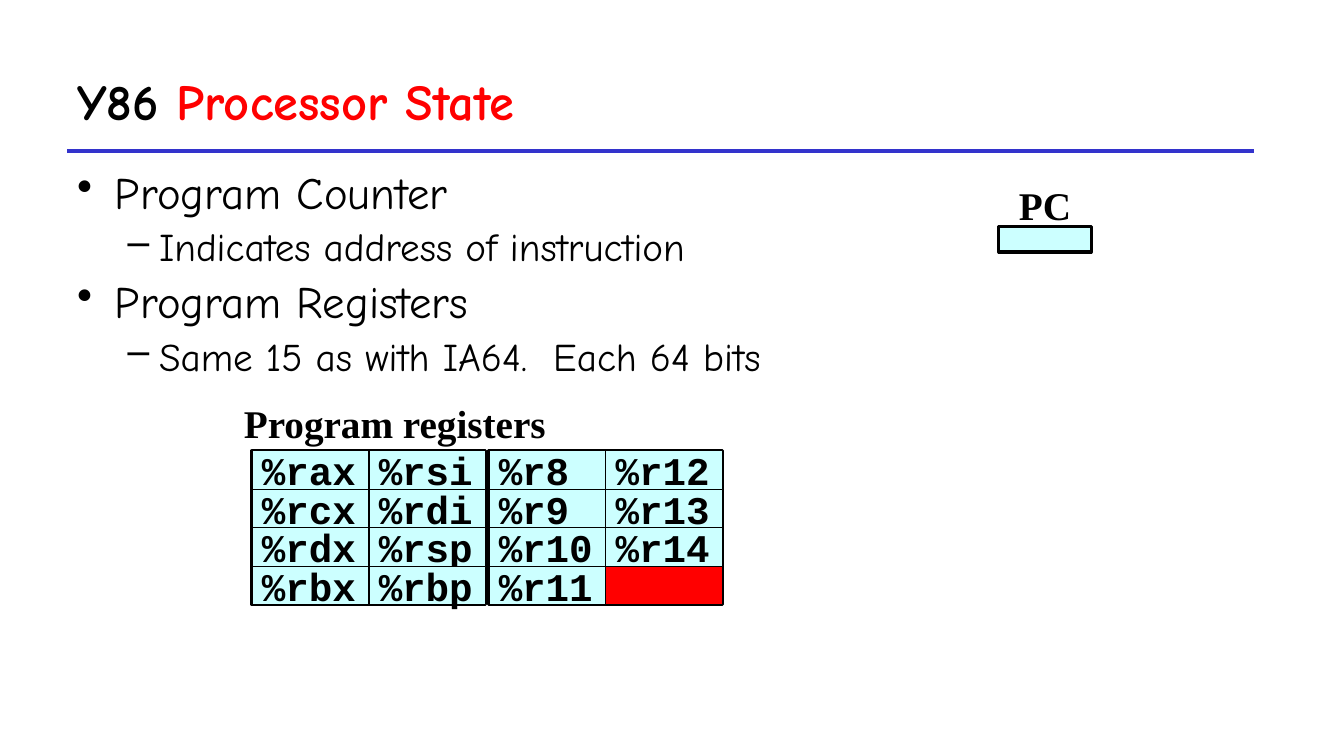
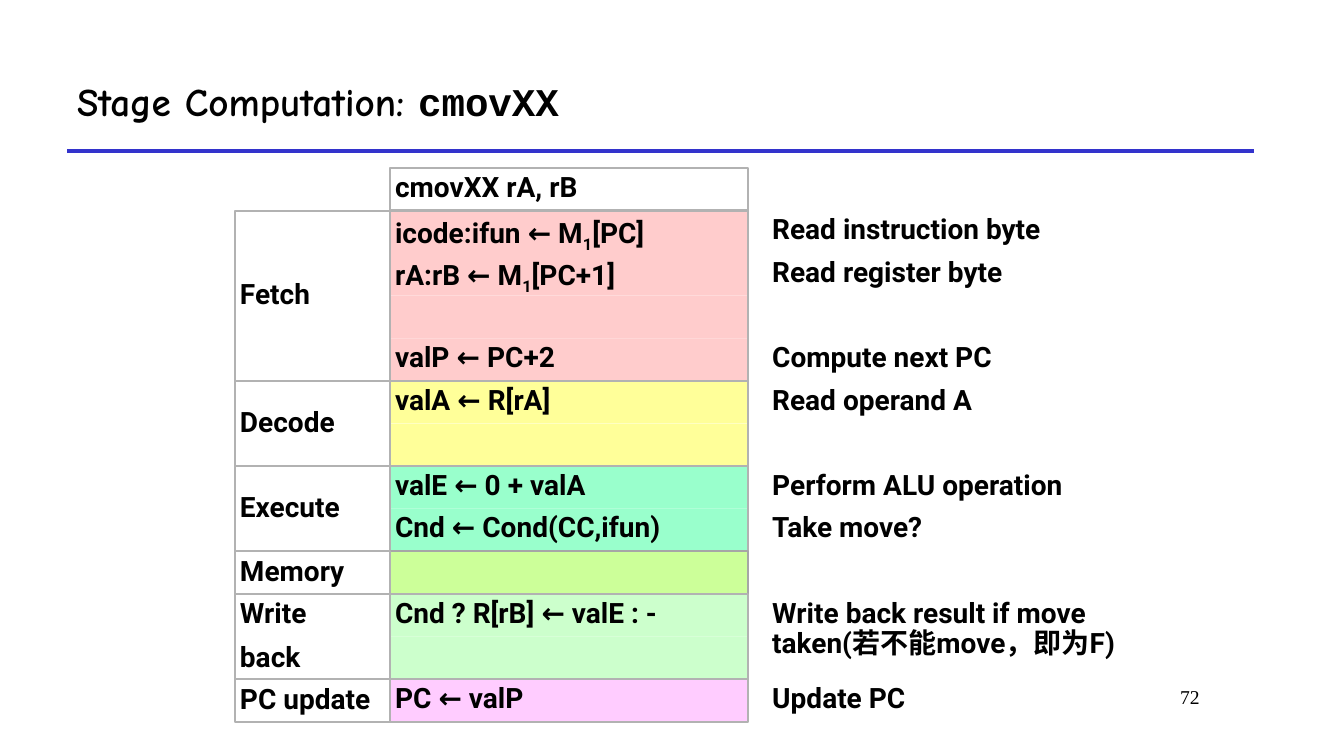
from dataclasses import dataclass
from typing import Any, Optional

from lxml.etree import SubElement
from pptx import Presentation
from pptx.dml.color import RGBColor
from pptx.enum.shapes import MSO_CONNECTOR, MSO_SHAPE
from pptx.enum.text import MSO_ANCHOR, PP_ALIGN
from pptx.oxml.ns import qn
from pptx.slide import Slide
from pptx.util import Pt

COLORS = {
    "text": "000000", "accent": "FF0000", "rule": "3333CC", "register": "CCFFFF",
    "grid": "B2B2B2", "memory_grid": "A6A6A6", "fetch": "FFCCCC", "decode": "FFFF99",
    "execute": "99FFCC", "memory": "CCFF99", "write": "CCFFCC", "update": "FFCCFF",
}

FONTS: dict[str, dict[str, Any]] = {
    "title": {"name": "Comic Neue", "size": Pt(36), "bold": True},
    "small_title": {"name": "Comic Neue", "size": Pt(28), "bold": True},
    "code": {"name": "Courier New", "size": Pt(28), "bold": True},
    "topic": {"name": "Comic Neue", "size": Pt(32), "bold": False},
    "detail": {"name": "Comic Neue", "size": Pt(28), "bold": False},
    "caption": {"name": "Times New Roman", "size": Pt(28), "bold": True},
    "page": {"name": "Times New Roman", "size": Pt(14), "bold": False},
    "stage": {"name": "Roboto", "size": Pt(20), "bold": True},
}

TIGHT = {f"margin_{side}": Pt(3.6) for side in ("left", "top", "right", "bottom")}
MIDDLE = {"vertical_anchor": MSO_ANCHOR.MIDDLE}
STAGE_LINES = {"alignment": PP_ALIGN.LEFT, "line_spacing": 0.9, "space_before": Pt(10)}


@dataclass(frozen=True)
class Run:
    text: str
    font: str
    color: str = "text"
    baseline: int = 0


@dataclass(frozen=True)
class Box:
    left: float
    top: float
    width: float
    height: float


@dataclass(frozen=True)
class Bullet:
    mark: str
    level: int
    indent: float
    hanging: float
    font: str


@dataclass(frozen=True)
class Step:
    formula: tuple[str, ...] = ()
    note: str = ""
    note_width: float = 255.6


@dataclass(frozen=True)
class Stage:
    label: tuple[str, ...]
    fill: str
    steps: tuple[Step, ...]
    outline: str = "grid"


Lines = list[list[Run]]

TOPIC = Bullet("•", 0, 27, 27, "topic")
DETAIL = Bullet("–", 1, 58.5, 22.5, "detail")

STATE_POINTS = (
    (TOPIC, "Program Counter"),
    (DETAIL, "Indicates address of instruction"),
    (TOPIC, "Program Registers"),
    (DETAIL, "Same 15 as with IA64.  Each 64 bits"),
)

REGISTER_BANKS = (
    (180, (("%rax", "%rcx", "%rdx", "%rbx"), ("%rsi", "%rdi", "%rsp", "%rbp"))),
    (349.2, (("%r8", "%r9", "%r10", "%r11"), ("%r12", "%r13", "%r14", ""))),
)
REGISTER_TOP, REGISTER_WIDTH, REGISTER_HEIGHT = 322, 83.5, 27.5

STAGES = (
    Stage(("Fetch",), "fetch", (
        Step(("icode:ifun ← M", "1", "[PC]"), "Read instruction byte"),
        Step(("rA:rB ← M", "1", "[PC+1]"), "Read register byte"),
        Step(),
        Step(("valP ← PC+2",), "Compute next PC"),
    )),
    Stage(("Decode",), "decode", (Step(("valA ← R[rA]",), "Read operand A"), Step())),
    Stage(("Execute",), "execute", (
        Step(("valE ← 0 + valA",), "Perform ALU operation"),
        Step(("Cnd ← Cond(CC,ifun)",), "Take move?"),
    )),
    Stage(("Memory",), "memory", (Step(),), "memory_grid"),
    Stage(("Write", "back"), "write", (
        Step(("Cnd ? R[rB] ← valE : -",),
             "Write back result if move taken(若不能move，即为F)", 276),
        Step(),
    )),
    Stage(("PC update",), "update", (Step(("PC ← valP",), "Update PC"),)),
)
TABLE_TOP, ROW_HEIGHT = 120, 30.42
LABEL_LEFT, LABEL_WIDTH = 167.8, 110.8
FORMULA_LEFT, FORMULA_WIDTH = 278.6, 255.6
NOTE_LEFT = 548


def rgb(key: str) -> RGBColor:
    return RGBColor.from_string(COLORS[key])


def apply(target: Any, formats: dict[str, Any]) -> None:
    for attribute, value in formats.items():
        setattr(target, attribute, value)


def add_runs(paragraph: Any, runs: list[Run]) -> None:
    for run in runs:
        piece = paragraph.add_run()
        piece.text = run.text
        apply(piece.font, FONTS[run.font])
        piece.font.color.rgb = rgb(run.color)
        if run.baseline:
            piece._r.get_or_add_rPr().set("baseline", str(run.baseline))


def write(frame: Any, lines: Lines, frame_format: dict[str, Any],
          line_format: dict[str, Any]) -> None:
    apply(frame, {"word_wrap": True, "vertical_anchor": MSO_ANCHOR.TOP, **frame_format})
    for index, runs in enumerate(lines):
        paragraph = frame.add_paragraph() if index else frame.paragraphs[0]
        apply(paragraph, {"alignment": PP_ALIGN.LEFT, **line_format})
        if not index:
            paragraph.space_before = Pt(0)
        add_runs(paragraph, runs)


def add_text(slide: Slide, box: Box, lines: Lines,
             frame_format: Optional[dict[str, Any]] = None,
             line_format: Optional[dict[str, Any]] = None) -> Any:
    area = slide.shapes.add_textbox(Pt(box.left), Pt(box.top), Pt(box.width), Pt(box.height))
    write(area.text_frame, lines, frame_format or {}, line_format or {})
    return area


def add_box(slide: Slide, box: Box, fill: str = "", outline: str = "",
            weight: float = 1.5) -> Any:
    cell = slide.shapes.add_shape(
        MSO_SHAPE.RECTANGLE, Pt(box.left), Pt(box.top), Pt(box.width), Pt(box.height))
    cell.shadow.inherit = False
    if fill:
        cell.fill.solid()
        cell.fill.fore_color.rgb = rgb(fill)
    else:
        cell.fill.background()
    if outline:
        cell.line.color.rgb = rgb(outline)
        cell.line.width = Pt(weight)
    else:
        cell.line.fill.background()
    return cell


def add_titled_slide(deck: Any, title: list[Run]) -> Slide:
    slide = deck.slides.add_slide(deck.slide_layouts[6])
    rule = slide.shapes.add_connector(
        MSO_CONNECTOR.STRAIGHT, Pt(48), Pt(108), Pt(896), Pt(108))
    rule.line.color.rgb = rgb("rule")
    rule.line.width = Pt(3)
    SubElement(rule._element.spPr, qn("a:effectLst"))
    add_text(slide, Box(48, 36, 848, 72), [title], MIDDLE)
    return slide


def add_points(slide: Slide) -> None:
    lines = [[Run(text, bullet.font)] for bullet, text in STATE_POINTS]
    area = add_text(slide, Box(48, 114, 588, 394), lines, None, {"space_before": Pt(3)})
    for paragraph, (bullet, _) in zip(area.text_frame.paragraphs, STATE_POINTS):
        paragraph.level = bullet.level
        properties = paragraph._p.get_or_add_pPr()
        properties.set("marL", str(Pt(bullet.indent)))
        properties.set("indent", str(-Pt(bullet.hanging)))
        SubElement(properties, qn("a:buChar")).set("char", bullet.mark)


def add_register_bank(slide: Slide, left: float, columns: tuple[tuple[str, ...], ...]) -> None:
    add_box(slide, Box(left, REGISTER_TOP, len(columns) * REGISTER_WIDTH,
                       len(columns[0]) * REGISTER_HEIGHT), "register", "text", 2.25)
    for column, names in enumerate(columns):
        for row, name in enumerate(names):
            place = Box(left + column * REGISTER_WIDTH, REGISTER_TOP + row * REGISTER_HEIGHT,
                        REGISTER_WIDTH, REGISTER_HEIGHT)
            register = add_box(slide, place, "register" if name else "accent", "text", 1)
            if name:
                write(register.text_frame, [[Run(name, "code")]],
                      {**MIDDLE, "word_wrap": False}, {})


def build_processor_state(deck: Any) -> None:
    slide = add_titled_slide(
        deck, [Run("Y86 ", "title"), Run("Processor State", "title", "accent")])
    add_points(slide)
    add_box(slide, Box(713.5, 162, 66, 18), "register", "text", 2.25)
    for caption, place in (("PC", Box(713.5, 126, 66, 42)),
                           ("Program registers", Box(144, 282, 276, 42))):
        add_text(slide, place, [[Run(caption, "caption")]], None,
                 {"alignment": PP_ALIGN.CENTER})
    for left, columns in REGISTER_BANKS:
        add_register_bank(slide, left, columns)


def formula_runs(parts: tuple[str, ...]) -> list[Run]:
    return [Run(part, "stage", baseline=-25000 if index % 2 else 0)
            for index, part in enumerate(parts)]


def add_stage(slide: Slide, stage: Stage, top: float) -> float:
    height = len(stage.steps) * ROW_HEIGHT
    single = len(stage.steps) == 1
    for index, step in enumerate(stage.steps):
        row_top = top + index * ROW_HEIGHT
        row = add_box(slide, Box(FORMULA_LEFT, row_top, FORMULA_WIDTH, ROW_HEIGHT),
                      stage.fill, stage.outline if single else "")
        if step.formula:
            write(row.text_frame, [formula_runs(step.formula)], TIGHT, STAGE_LINES)
        if step.note:
            add_text(slide, Box(NOTE_LEFT, row_top, step.note_width, ROW_HEIGHT),
                     [[Run(step.note, "stage")]], TIGHT, STAGE_LINES)
    if not single:
        add_box(slide, Box(FORMULA_LEFT, top, FORMULA_WIDTH, height), "", stage.outline)
    label = add_box(slide, Box(LABEL_LEFT, top, LABEL_WIDTH, height), "", "grid")
    write(label.text_frame, [[Run(line, "stage")] for line in stage.label],
          {**TIGHT, **MIDDLE}, STAGE_LINES)
    return top + height


def build_stage_computation(deck: Any) -> None:
    slide = add_titled_slide(
        deck, [Run("Stage Computation: ", "small_title"), Run("cmovXX", "code")])
    add_text(slide, Box(728, 486, 136, 36), [[Run("72", "page")]], None,
             {"alignment": PP_ALIGN.RIGHT})
    instruction = add_box(
        slide, Box(FORMULA_LEFT, TABLE_TOP, FORMULA_WIDTH, ROW_HEIGHT), "", "grid")
    write(instruction.text_frame, [[Run("cmovXX rA, rB", "stage")]], TIGHT, STAGE_LINES)
    top = TABLE_TOP + ROW_HEIGHT
    for stage in STAGES:
        top = add_stage(slide, stage, top)


def main() -> None:
    deck = Presentation()
    apply(deck, {"slide_width": Pt(960), "slide_height": Pt(540)})
    build_processor_state(deck)
    build_stage_computation(deck)
    deck.save("out.pptx")


if __name__ == "__main__":
    main()
